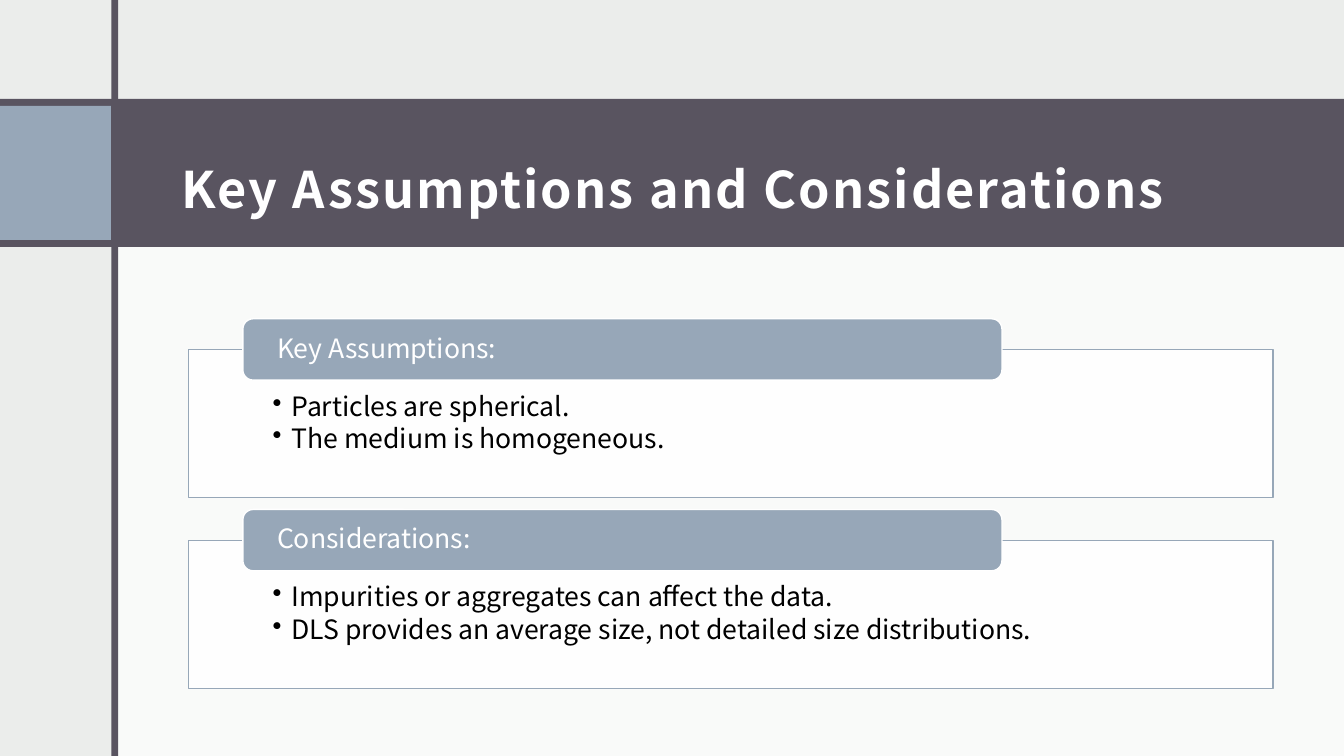
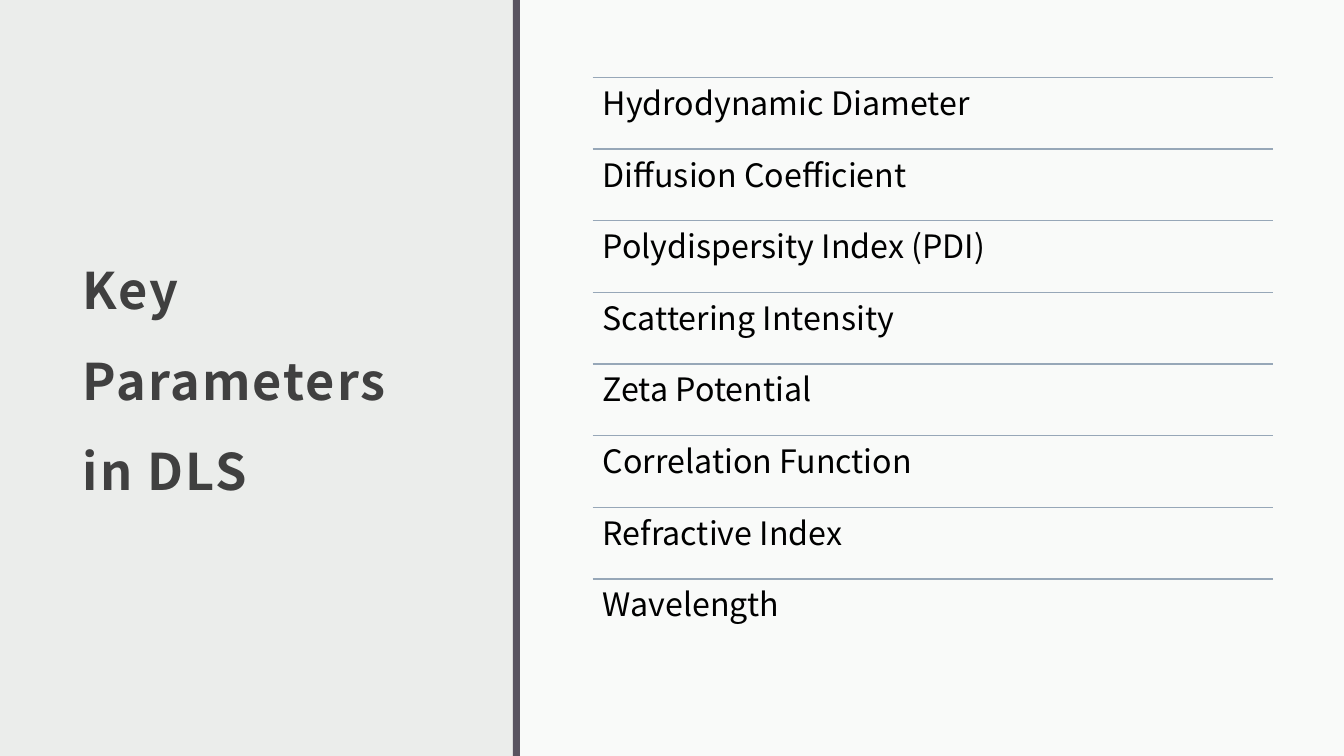
from dataclasses import dataclass

from lxml import etree
from pptx import Presentation
from pptx.dml.color import RGBColor
from pptx.enum import shapes, text
from pptx.oxml import ns
from pptx.util import Pt

COLORS = {
    "background": "EBEDEB",
    "white": "FFFFFF",
    "plum": "595460",
    "blue": "97A7B8",
    "title": "404040",
    "black": "000000",
}
FONT = "Noto Sans CJK JP"
WIDTH, HEIGHT = 960, 540
STRIPE = 5
TITLE_INSETS = (8.64, 8.64, 8.64, 7.2)
RECT = shapes.MSO_SHAPE.RECTANGLE
ROUNDED = shapes.MSO_SHAPE.ROUNDED_RECTANGLE
TOP, MIDDLE = text.MSO_ANCHOR.TOP, text.MSO_ANCHOR.MIDDLE


@dataclass(frozen=True)
class Box:
    left: float
    top: float
    width: float
    height: float

    def lengths(self):
        return Pt(self.left), Pt(self.top), Pt(self.width), Pt(self.height)


@dataclass(frozen=True)
class TextStyle:
    size: float
    color: str
    bold: bool = False
    tracking: float = 0
    line_spacing: float = 0.9
    space_after: float = 0
    bullet_indent: float = 0


@dataclass(frozen=True)
class Section:
    heading: str
    points: tuple[str, ...]


HEADING = TextStyle(19, "white")
POINT = TextStyle(19, "black", space_after=2.85, bullet_indent=13.5)
PARAMETER = TextStyle(23, "black")

SECTIONS = (
    Section("Key Assumptions:",
            ("Particles are spherical.", "The medium is homogeneous.")),
    Section("Considerations:",
            ("Impurities or aggregates can affect the data.",
             "DLS provides an average size, not detailed size distributions.")),
)
PARAMETERS = (
    "Hydrodynamic Diameter", "Diffusion Coefficient",
    "Polydispersity Index (PDI)", "Scattering Intensity",
    "Zeta Potential", "Correlation Function", "Refractive Index", "Wavelength",
)


def rgb(name: str) -> RGBColor:
    return RGBColor.from_string(COLORS[name])


def add_block(s, box: Box, fill: str, opacity: int = 100,
              line: str | None = None, kind=RECT):
    """Draw a filled shape, optionally translucent or outlined."""
    sp = s.shapes.add_shape(kind, *box.lengths())
    sp.shadow.inherit = False
    sp.fill.solid()
    sp.fill.fore_color.rgb = rgb(fill)
    if opacity < 100:
        color = sp.fill._xPr.find(".//" + ns.qn("a:srgbClr"))
        etree.SubElement(color, ns.qn("a:alpha"), val=str(opacity * 1000))
    if line:
        sp.line.color.rgb = rgb(line)
        sp.line.width = Pt(1)
    else:
        sp.line.fill.background()
    return sp


def write(sp, lines: tuple[str, ...], style: TextStyle,
          insets: tuple[float, float, float, float], anchor=TOP) -> None:
    """Fill a shape with one paragraph per line; insets run left to bottom."""
    tf = sp.text_frame
    tf.word_wrap = True
    tf.vertical_anchor = anchor
    tf.margin_left, tf.margin_top, tf.margin_right, tf.margin_bottom = map(Pt, insets)
    for i, line in enumerate(lines):
        p = tf.add_paragraph() if i else tf.paragraphs[0]
        p.alignment = text.PP_ALIGN.LEFT
        p.line_spacing = style.line_spacing
        p.space_after = Pt(style.space_after)
        if style.bullet_indent:
            pPr = p._p.get_or_add_pPr()
            pPr.set("marL", str(Pt(style.bullet_indent)))
            pPr.set("indent", str(-Pt(style.bullet_indent)))
            etree.SubElement(pPr, ns.qn("a:buChar"), char="•")
        r = p.add_run()
        r.text = line
        r.font.name = FONT
        r.font.size = Pt(style.size)
        r.font.bold = style.bold
        r.font.color.rgb = rgb(style.color)
        if style.tracking:
            r._r.get_or_add_rPr().set("spc", str(int(style.tracking * 100)))


def add_text(s, box: Box, line: str, style: TextStyle,
             insets: tuple[float, float, float, float], anchor=TOP) -> None:
    write(s.shapes.add_textbox(*box.lengths()), (line,), style, insets, anchor)


def add_title(s, box: Box, title: str, color: str) -> None:
    style = TextStyle(36, color, bold=True, tracking=1.5, line_spacing=1.5)
    add_text(s, box, title, style, TITLE_INSETS, MIDDLE)


def add_stripe(s, center: float) -> None:
    add_block(s, Box(center - STRIPE / 2, 0, STRIPE, HEIGHT), "plum")


def add_panel(s, left: float, top: float) -> None:
    add_block(s, Box(left, top, WIDTH - left, HEIGHT - top), "white", 75)


def add_rule(s, left: float, right: float, y: float) -> None:
    line = s.shapes.add_connector(
        shapes.MSO_CONNECTOR.STRAIGHT, Pt(left), Pt(y), Pt(right), Pt(y))
    line.line.color.rgb = rgb("blue")
    line.line.width = Pt(1)
    etree.SubElement(line._element.spPr, ns.qn("a:effectLst"))


def add_section(s, section: Section, top: float) -> None:
    """Draw a bulleted frame with its heading tab across the upper edge."""
    frame = add_block(s, Box(134.8, top, 774.6, 105.8), "white", 90, "blue")
    write(frame, section.points, POINT, (60, 31, 60, 10.8))
    tab = add_block(s, Box(173.5, top - 22.1, 542.2, 43.8), "blue",
                    line="white", kind=ROUNDED)
    write(tab, (section.heading,), HEADING, (22.3, 0, 22.3, 0), MIDDLE)


def new_slide(prs):
    s = prs.slides.add_slide(prs.slide_layouts[6])
    s.background.fill.solid()
    s.background.fill.fore_color.rgb = rgb("background")
    return s


def build_assumptions(prs) -> None:
    s = new_slide(prs)
    # Panel, title band and side stripe
    add_panel(s, 82, 168)
    add_block(s, Box(0, 70.6, WIDTH, 105.8), "plum")
    add_title(s, Box(121, 82, 788.4, 81.4), "Key Assumptions and Considerations", "white")
    add_block(s, Box(0, 75.6, 79.2, 95.8), "blue")
    add_stripe(s, 82)
    # Sections
    for i, section in enumerate(SECTIONS):
        add_section(s, section, 249.8 + i * 136.2)


def build_parameters(prs) -> None:
    s = new_slide(prs)
    # Panel, side stripe and title
    add_panel(s, 371.5, 0)
    add_stripe(s, 368.9)
    add_title(s, Box(50.4, 55.4, 268.6, 409), "Key Parameters in DLS", "title")
    # Ruled list
    left, width, pitch = 423.4, 486, 51.15
    for i, name in enumerate(PARAMETERS):
        y = 55.4 + i * pitch
        add_rule(s, left, left + width, y)
        add_text(s, Box(left, y, width, pitch), name, PARAMETER, (7.2,) * 4)


def main() -> None:
    prs = Presentation()
    prs.slide_width, prs.slide_height = Pt(WIDTH), Pt(HEIGHT)
    build_assumptions(prs)
    build_parameters(prs)
    prs.save("out.pptx")


if __name__ == "__main__":
    main()
